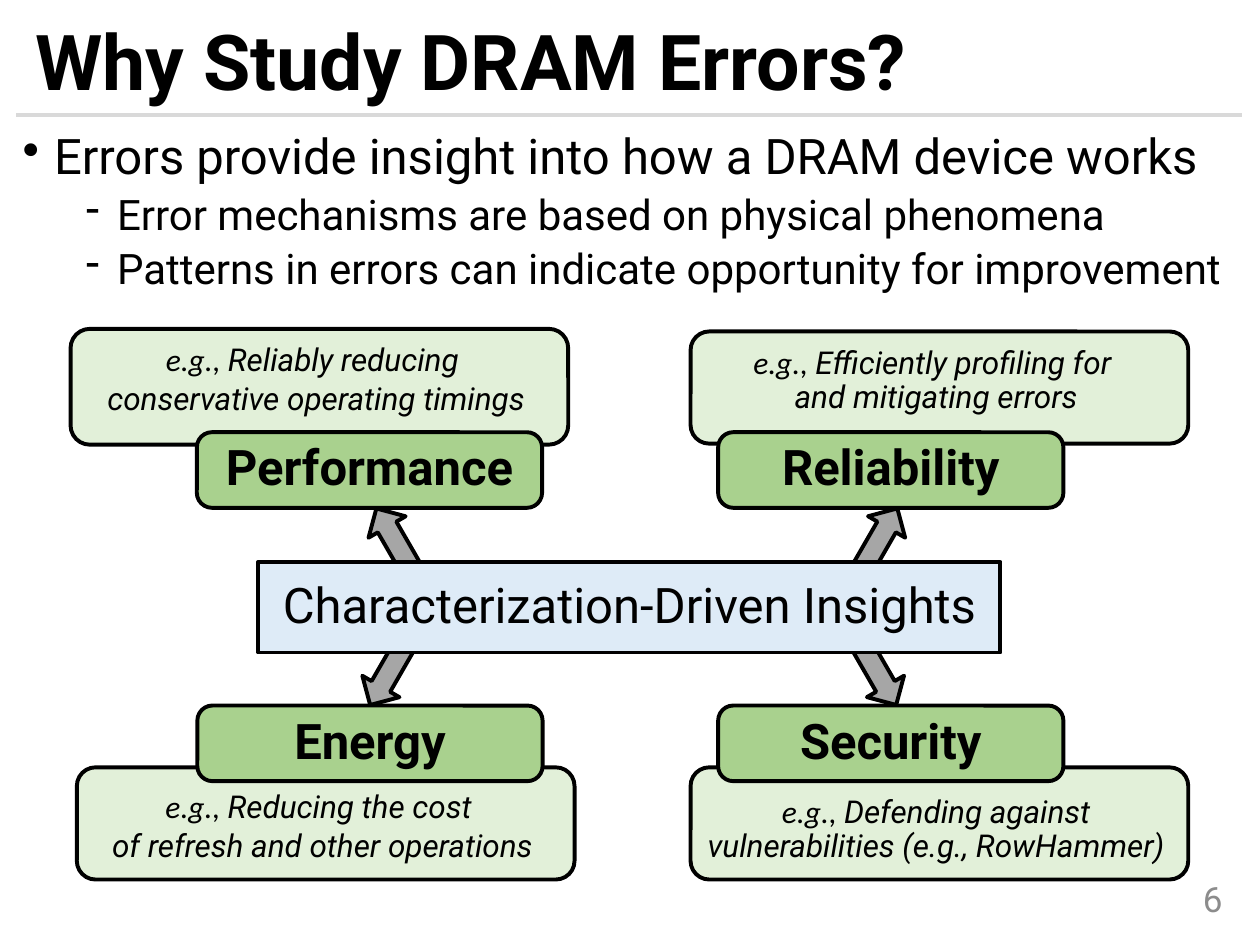
import pptx
import pptx.util
import pptx.dml.color
import pptx.enum.shapes
import pptx.enum.text
from lxml import etree

Pt = pptx.util.Pt
RGB = pptx.dml.color.RGBColor
Kind = pptx.enum.shapes.MSO_SHAPE
Align = pptx.enum.text.PP_ALIGN
Anchor = pptx.enum.text.MSO_ANCHOR

BLACK = RGB(0, 0, 0)
RULE = RGB(0xD9, 0xD9, 0xD9)
PAGE = RGB(0x8C, 0x8C, 0x8C)
PALE = RGB(0xE2, 0xF0, 0xD9)
GREEN = RGB(0xA9, 0xD1, 0x8E)
GRAY = RGB(0xA6, 0xA6, 0xA6)
BLUE = RGB(0xDE, 0xEB, 0xF7)

TITLE = "Why Study DRAM Errors?"
POINTS = [
    (0, "Errors provide insight into how a DRAM device works"),
    (1, "Error mechanisms are based on physical phenomena"),
    (1, "Patterns in errors can indicate opportunity for improvement"),
]
LEVELS = [("•", 18, 28, 10), ("-", 54, 24, 5)]
CENTER = "Characterization-Driven Insights"
LEAD = "e.g., "
TOPICS = [
    dict(name="Performance", text=["Reliably reducing ", "conservative operating timings"],
         note=(40.3, 187.9, 66.2), tab=112.5, arrow=212.4, turn=330, gap=2.7),
    dict(name="Reliability", text=["Efficiently profiling for ", "and mitigating errors"],
         note=(394.6, 189.4, 64.1), tab=410.4, arrow=491, turn=30, gap=0),
    dict(name="Security", text=["Defending against", "vulnerabilities (e.g., RowHammer)"],
         note=(394.6, 438.5, 64.1), tab=410.4, arrow=490.3, turn=150, gap=0),
    dict(name="Energy", text=["Reducing the cost ", "of refresh and other operations"],
         note=(43.9, 438.5, 64.1), tab=112.8, arrow=208.8, turn=210, gap=2.7),
]

deck = pptx.Presentation()
deck.slide_width, deck.slide_height = Pt(720), Pt(540)
slide = deck.slides.add_slide(deck.slide_layouts[6])
shapes = slide.shapes


def style(run, size, color=BLACK, bold=False, italic=False, face="Roboto"):
    font = run.font
    font.name, font.size, font.bold, font.italic = face, Pt(size), bold, italic
    font.color.rgb = color


def frame(shape, pad, anchor):
    box = shape.text_frame
    box.word_wrap = True
    box.vertical_anchor = anchor
    (box.margin_left, box.margin_top,
     box.margin_right, box.margin_bottom) = [Pt(v) for v in pad]
    return box


def label(place, text, size, anchor=Anchor.TOP, align=Align.LEFT, **look):
    box = frame(shapes.add_textbox(*map(Pt, place)), (7.2, 3.6, 7.2, 3.6), anchor)
    box.text = text
    para = box.paragraphs[0]
    para.alignment, para.line_spacing = align, 0.9
    style(para.runs[0], size, **look)


def block(kind, place, fill):
    shape = shapes.add_shape(kind, *map(Pt, place))
    shape.shadow.inherit = False
    shape.fill.solid()
    shape.fill.fore_color.rgb = fill
    shape.line.color.rgb = BLACK
    shape.line.width = Pt(2.25)
    return shape


def caption(shape, text, bold):
    box = frame(shape, (12, 8, 12, 8), Anchor.MIDDLE)
    box.text = text
    para = box.paragraphs[0]
    para.alignment, para.line_spacing = Align.CENTER, 0.9
    style(para.runs[0], 28, bold=bold)


def bullets(place):
    box = frame(shapes.add_textbox(*map(Pt, place)), (7.2, 3.6, 7.2, 3.6), Anchor.TOP)
    box.text = "\n".join(text for _, text in POINTS)
    for i, (para, (level, _)) in enumerate(zip(box.paragraphs, POINTS)):
        mark, indent, size, before = LEVELS[level]
        para.level, para.line_spacing = level, 0.9
        para.space_before = Pt(before if i else 0)
        props = para._p.get_or_add_pPr()
        props.set("marL", str(Pt(indent)))
        props.set("indent", str(Pt(-18)))
        bullet = etree.SubElement(props, pptx.oxml.ns.qn("a:buChar"))
        bullet.set("char", mark)
        style(para.runs[0], size)


def topic(item):
    left, top, height = item["note"]
    upper = top < 270
    note = block(Kind.ROUNDED_RECTANGLE, (left, top, 284.4, height), PALE)
    box = frame(note, (5, 5.8, 8.6, 5.8), Anchor.TOP if upper else Anchor.BOTTOM)
    box.text = "\n".join(item["text"])
    for i, para in enumerate(box.paragraphs):
        para.alignment, para.line_spacing = Align.CENTER, 0.9
        para.space_after = Pt(item["gap"])
        if i == 0:
            words = para.text
            para.text = LEAD
            style(para.runs[0], 18, italic=True, face="Calibri")
            para.add_run().text = words
        style(para.runs[-1], 18, italic=True)
    tab = block(Kind.ROUNDED_RECTANGLE,
                (item["tab"], 247 if upper else 403.2, 197.3, 43.2), GREEN)
    tab.adjustments[0] = 0.2
    caption(tab, item["name"], True)
    arrow = block(Kind.UP_ARROW,
                  (item["arrow"], 288 if upper else 367.2, 24.5, 38.2), GRAY)
    arrow.rotation = item["turn"]


label((627.8, 500.4, 77.8, 28.8), "6", 20, Anchor.MIDDLE, Align.RIGHT, color=PAGE)
rule = shapes.add_connector(pptx.enum.shapes.MSO_CONNECTOR.STRAIGHT,
                            Pt(9.4), Pt(65.5), Pt(710), Pt(65.5))
rule.line.color.rgb = RULE
rule.line.width = Pt(2.25)
etree.SubElement(rule._element.spPr, pptx.oxml.ns.qn("a:effectLst"))
label((13, 10, 700.6, 47.5), TITLE, 44, bold=True)
bullets((5.8, 72, 707.8, 116))
for item in TOPICS:
    topic(item)
caption(block(Kind.RECTANGLE, (147.6, 321.1, 424.1, 51.8), BLUE), CENTER, False)

deck.save("out.pptx")
